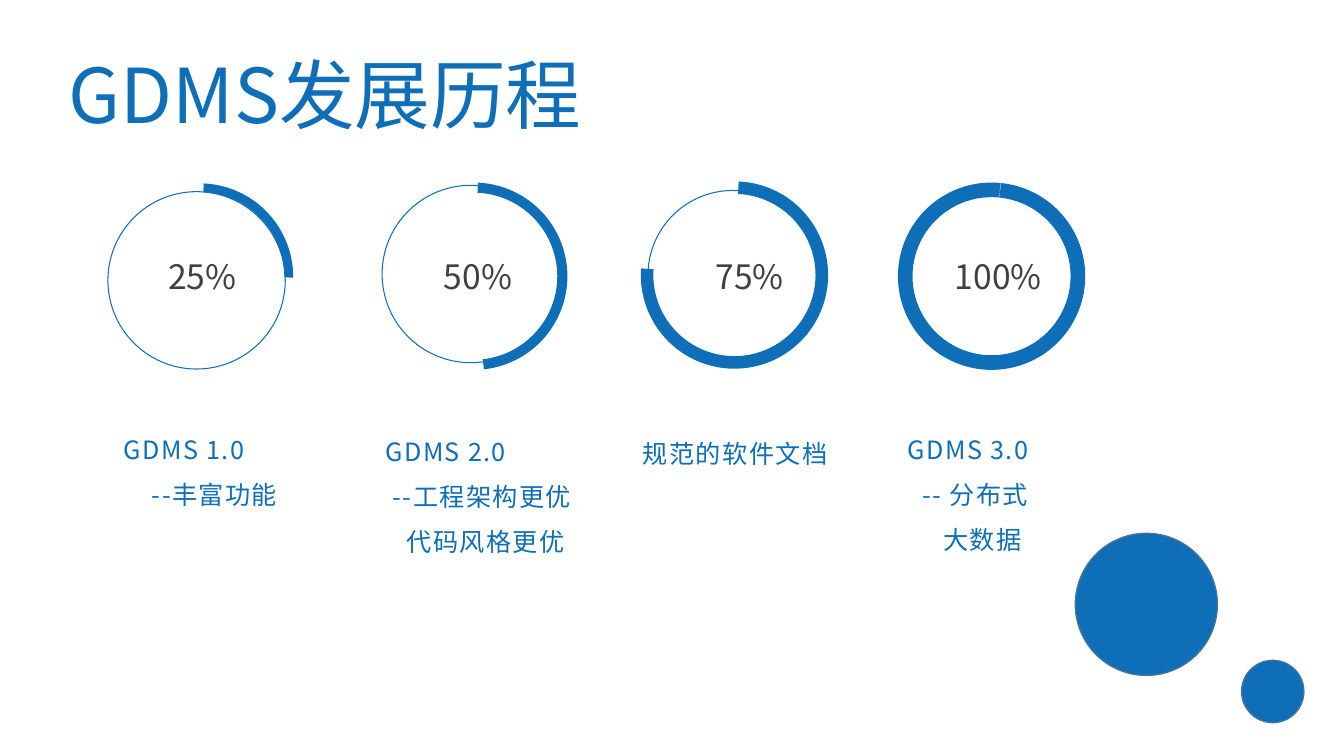
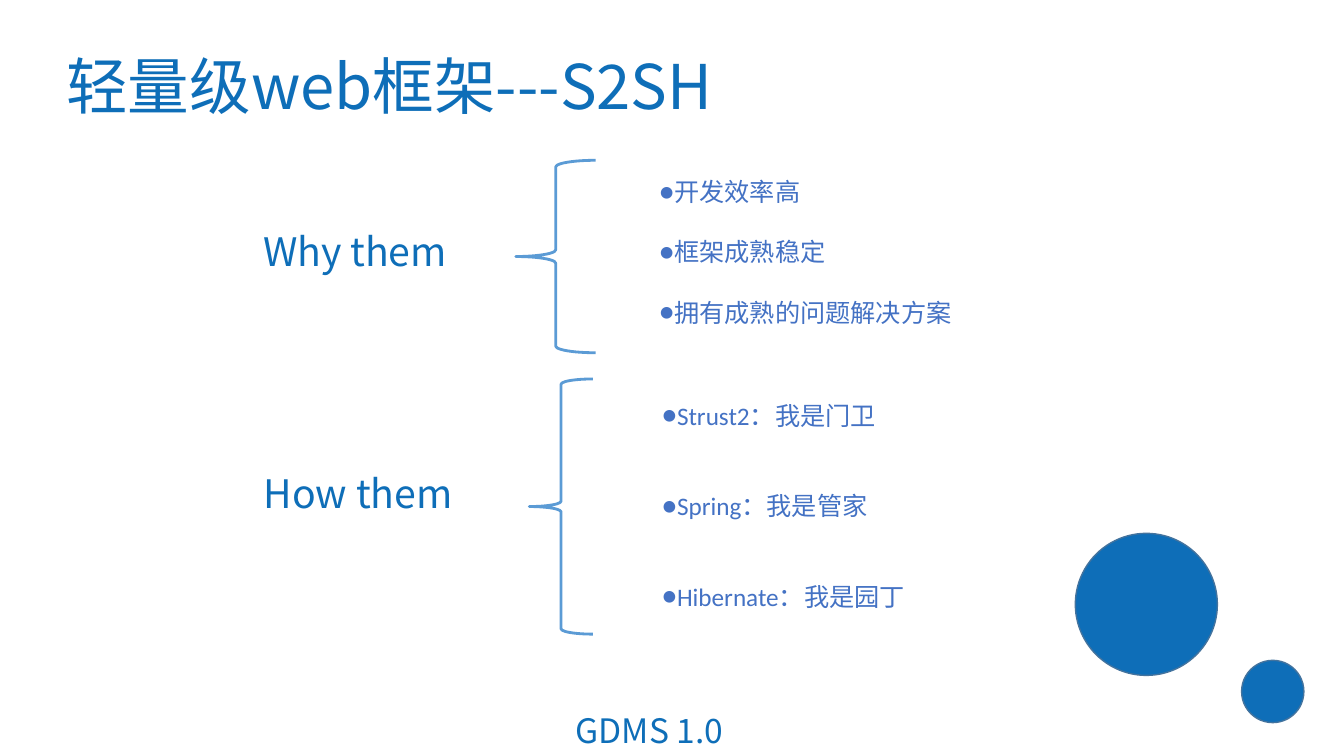
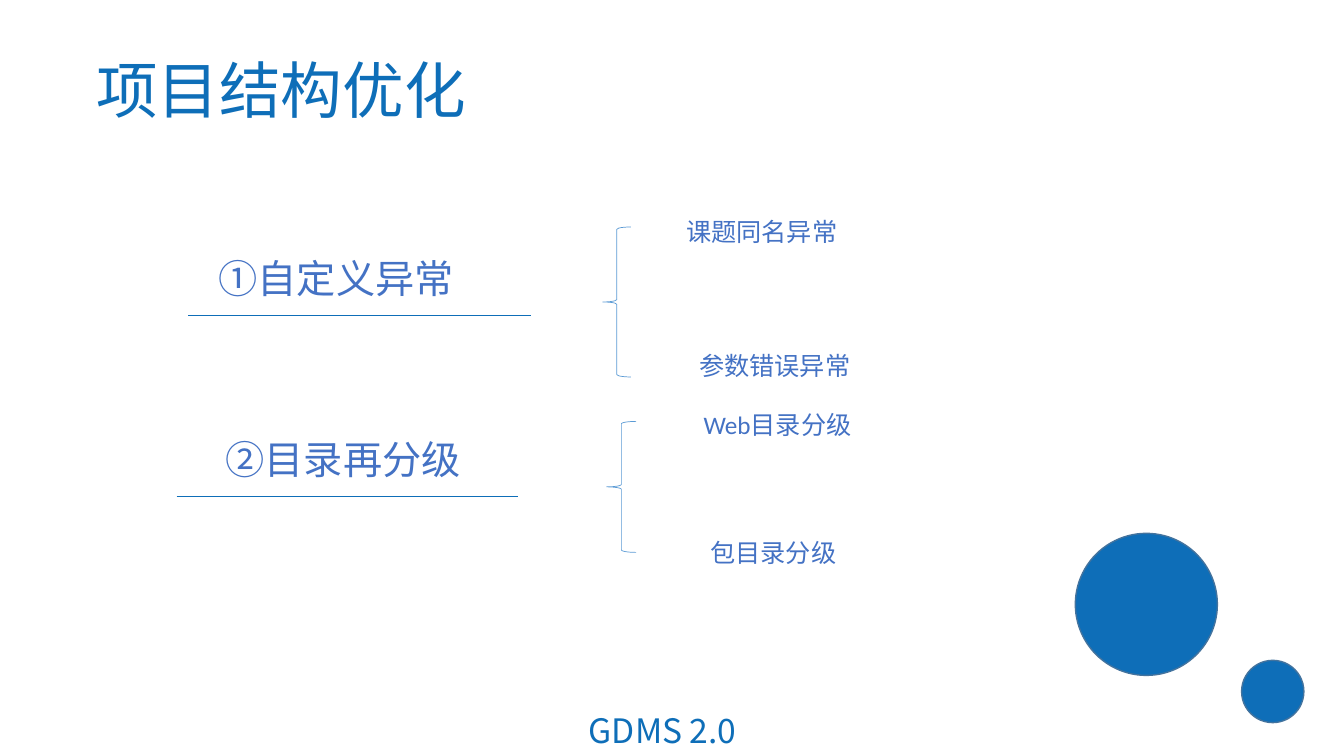
from dataclasses import dataclass

from lxml import etree
from pptx import Presentation
from pptx import util as u
from pptx.dml.color import RGBColor
from pptx.enum import shapes, text
from pptx.oxml.ns import qn


@dataclass(frozen=True)
class Theme:
    blue: str = "0E6EB8"
    edge: str = "43739E"
    ink: str = "4472C4"
    grey: str = "404040"
    brace: str = "5B9BD5"
    main: str = "Noto Sans CJK SC"
    plain: str = "Calibri"
    hero: int = 54
    title: int = 44
    head: int = 28
    mid: int = 24
    body: int = 18
    tight: float = 1.19
    loose: float = 1.79


T = Theme()
LEFT, MID = text.PP_ALIGN.LEFT, text.PP_ALIGN.CENTER
KIND = shapes.MSO_SHAPE
LABEL = dict(size=T.mid, color=T.grey, align=MID)
NOTE = dict(size=T.body, lead=T.loose, track=1)
HEAD = dict(size=T.head)
FOOT = dict(size=T.mid, align=MID)
ITEM = dict(size=T.body, color=T.ink, font=T.plain, lead=None)


class Deck:
    def __init__(self):
        self.prs = Presentation()
        self.prs.slide_width = u.Cm(33.87)
        self.prs.slide_height = u.Cm(19.05)
        self.slide = None

    def page(self, title, box, size=T.title):
        self.slide = self.prs.slides.add_slide(self.prs.slide_layouts[5])
        head = self.slide.shapes.title
        names = ("left", "top", "width", "height")
        for name, value in zip(names, box):
            setattr(head, name, u.Cm(value))
        self.fill(head.text_frame, [title], size=size, align=MID)
        for x, y, d in ((27.1, 13.44, 3.58), (31.29, 16.64, 1.57)):
            self.shape(KIND.OVAL, (x, y, d, d), T.blue, T.edge, 1)

    def fill(self, frame, lines, size, color=T.blue, font=T.main, align=LEFT,
             lead=T.tight, track=0, gap=0, bullet=None, dents=()):
        look = dict(word_wrap=True, vertical_anchor=text.MSO_ANCHOR.TOP,
                    auto_size=text.MSO_AUTO_SIZE.SHAPE_TO_FIT_TEXT)
        for name, value in look.items():
            setattr(frame, name, value)
        for i, line in enumerate(lines):
            para = frame.add_paragraph() if i else frame.paragraphs[0]
            look = dict(alignment=align, space_after=u.Pt(gap),
                        line_spacing=u.Pt(size * lead) if lead else 1.0)
            for name, value in look.items():
                setattr(para, name, value)
            props = para._p.get_or_add_pPr()
            if i < len(dents):
                props.set("marL", str(u.Cm(dents[i])))
                props.set("indent", "0")
            if bullet:
                etree.SubElement(props, qn("a:buFont")).set("typeface", font)
                etree.SubElement(props, qn("a:buChar")).set("char", bullet)
            run = para.add_run()
            run.text = line
            for name, value in dict(name=font, size=u.Pt(size), bold=False).items():
                setattr(run.font, name, value)
            run.font.color.rgb = RGBColor.from_string(color)
            mark = run._r.get_or_add_rPr()
            etree.SubElement(mark, qn("a:ea")).set("typeface", font)
            if track:
                mark.set("spc", str(track * 100))

    def text(self, lines, box, **look):
        item = self.slide.shapes.add_textbox(*map(u.Cm, box))
        self.fill(item.text_frame, lines, **look)

    def shape(self, kind, box, fill=None, line=None, width=1, turn=0, adjust=()):
        item = self.slide.shapes.add_shape(kind, *map(u.Cm, box))
        item.shadow.inherit = False
        item.rotation = turn
        for i, value in enumerate(adjust):
            item.adjustments[i] = value
        if fill:
            item.fill.solid()
            item.fill.fore_color.rgb = RGBColor.from_string(fill)
        else:
            item.fill.background()
        if line:
            item.line.color.rgb = RGBColor.from_string(line)
            item.line.width = u.Pt(width)
        else:
            item.line.fill.background()

    def brace(self, box, width):
        self.shape(KIND.LEFT_BRACE, box, line=T.brace, width=width)

    def rule(self, x, end, y):
        item = self.slide.shapes.add_connector(
            shapes.MSO_CONNECTOR.STRAIGHT, *map(u.Cm, (x, y, end, y)))
        item.line.color.rgb = RGBColor.from_string(T.blue)
        item.line.width = u.Pt(0.5)
        etree.SubElement(item._element.spPr, qn("a:effectLst"))

    def dial(self, label, place, ring, arc, start, end, thick):
        x, y, d = ring
        self.shape(KIND.OVAL, (x, y, d, d), line=T.blue, width=0.75)
        x, width = place
        self.text([label], (x, 6.32, width, 1.27), **LABEL)
        self.shape(KIND.BLOCK_ARC, (*arc, 4.72, 4.72), T.blue, turn=330,
                   adjust=(start, end, thick / 100))


def history(deck):
    deck.page("GDMS发展历程", (1.14, 1.09, 14.1, 2.57), T.hero)
    dials = (
        ("25%", (2.79, 4.62), (2.72, 4.83, 4.47), (2.67, 4.62), 181.54, 18.19, 4.7),
        ("50%", (10.31, 3.48), (9.63, 4.67, 4.47), (9.58, 4.6), 181.54, 68.27, 5.4),
        ("75%", (17.17, 3.45), (16.33, 4.8, 4.27), (16.15, 4.57), 181.54, 128.43, 6.7),
        ("100%", (23.42, 3.48), (22.86, 4.83, 4.27), (22.63, 4.6), 183.46, 183.24, 7.8),
    )
    for dial in dials:
        deck.dial(*dial)
    notes = (
        (2.87, 10.44, ("GDMS 1.0", "--丰富功能"), (0, 0.71)),
        (9.47, 10.49, ("GDMS 2.0", "--工程架构更优", "代码风格更优"), (0, 0.18, 0.53)),
        (15.95, 10.54, ("规范的软件文档",), ()),
        (22.63, 10.44, ("GDMS 3.0", "-- 分布式", "大数据"), (0, 0.36, 0.89)),
    )
    for x, y, lines, dents in notes:
        deck.text(lines, (x, y, 5.61, 1.27), dents=dents, **NOTE)


def stack(deck):
    deck.page("轻量级web框架---S2SH", (1.09, 1.09, 17.45, 2.13))
    deck.text(["GDMS 1.0"], (14.07, 17.78, 4.6, 1.27), **FOOT)
    groups = (
        ("Why them", (6.38, 5.61, 5.46, 1.45), (13, 4.04, 2.01, 4.85),
         ("开发效率高", "框架成熟稳定", "拥有成熟的问题解决方案"),
         (16.36, 4.32, 8.6, 4.88), 21.5),
        ("How them", (6.4, 11.71, 5.49, 1.45), (13.34, 9.55, 1.6, 6.43),
         ("Strust2：我是门卫", "Spring：我是管家", "Hibernate：我是园丁"),
         (16.43, 9.96, 8.6, 5.64), 43),
    )
    for head, place, brace, lines, box, gap in groups:
        deck.text([head], place, **HEAD)
        deck.brace(brace, 2)
        deck.text(lines, box, gap=gap, bullet="●", dents=(0, 0, 0), **ITEM)


def layout(deck):
    deck.page("项目结构优化", (2.13, 1.19, 9.91, 2.13))
    deck.text(["GDMS 2.0"], (14.4, 17.78, 4.6, 1.27), **FOOT)
    groups = (
        ("①自定义异常", (5.26, 6.3), (4.75, 13.39, 7.95), (15.19, 5.72, 0.71, 3.78),
         (("课题同名异常", 17.04, 5.33, 4.37), ("参数错误异常", 17.37, 8.71, 4.37))),
        ("②目录再分级", (5.44, 10.85), (4.45, 13.06, 12.5), (15.29, 10.62, 0.74, 3.3),
         (("Web目录分级", 17.48, 10.19, 4.29), ("包目录分级", 17.65, 13.41, 3.71))),
    )
    for head, place, rule, brace, items in groups:
        deck.text([head], (*place, 7.6, 1.45), color=T.ink, **HEAD)
        deck.rule(*rule)
        deck.brace(brace, 0.5)
        for line, x, y, width in items:
            deck.text([line], (x, y, width, 1.02), **ITEM)


def main():
    deck = Deck()
    for build in (history, stack, layout):
        build(deck)
    deck.prs.save("out.pptx")


if __name__ == "__main__":
    main()
